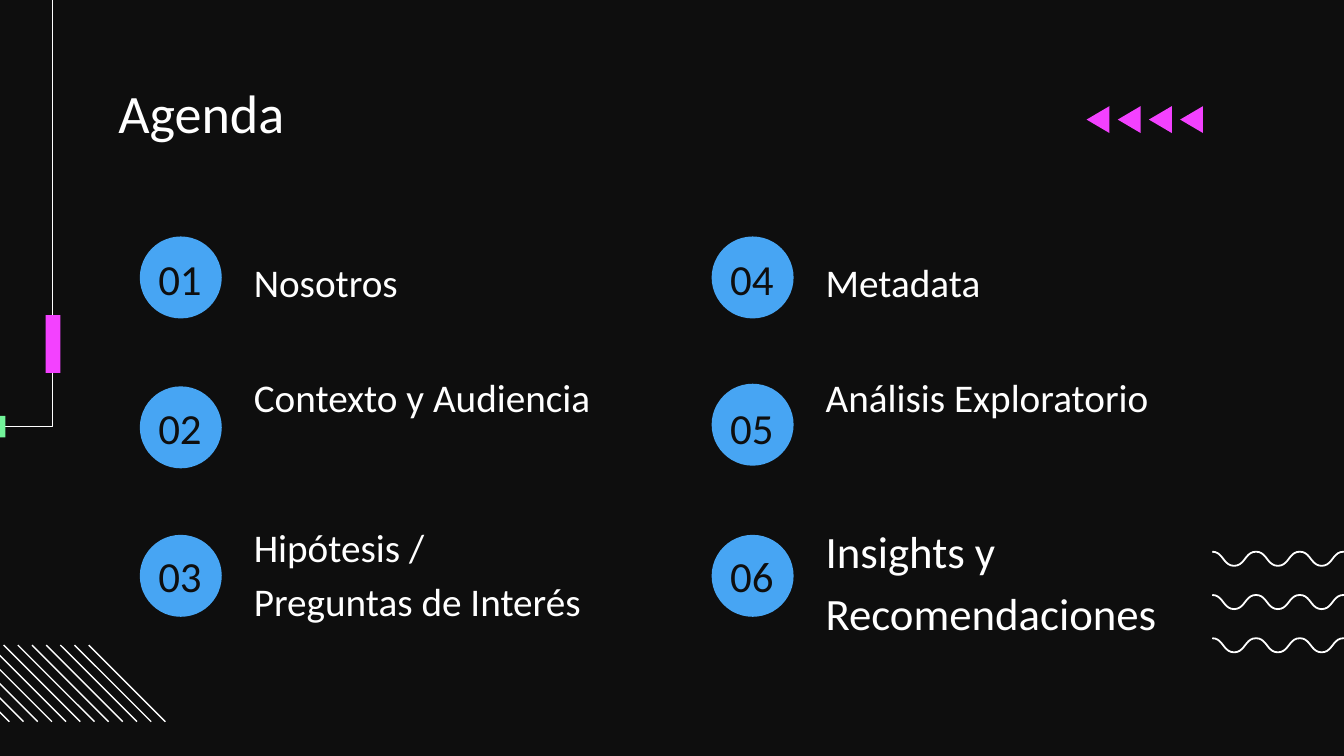
from lxml import etree
from pptx import Presentation
from pptx.dml.color import RGBColor
from pptx.enum import shapes, text
from pptx.oxml.ns import qn
from pptx.util import Pt

PX = 9144  # 100 px to the inch
FONT = "Calibri"
HUES = {"back": "0E0E0E", "white": "FFFFFF", "blue": "47A5F3",
        "pink": "F341FF", "green": "72F49A"}
LEFT, MID = text.PP_ALIGN.LEFT, text.PP_ALIGN.CENTER


def px(n):
    return round(n * PX)


def hue(name):
    return RGBColor.from_string(HUES[name])


def paint(part, fill=None, line=None, width=0.75):
    part.shadow.inherit = False
    if fill:
        part.fill.solid()
        part.fill.fore_color.rgb = hue(fill)
    else:
        part.fill.background()
    if line:
        part.line.color.rgb = hue(line)
        part.line.width = Pt(width)
    else:
        part.line.fill.background()


def solid(slide, kind, x, y, w, h, fill):
    part = slide.shapes.add_shape(kind, px(x), px(y), px(w), px(h))
    paint(part, fill)


def trace(slide, points, close=False, **look):
    spots = [(px(x), px(y)) for x, y in points]
    pen = slide.shapes.build_freeform(*spots[0], scale=1.0)
    pen.add_line_segments(spots[1:], close=close)
    paint(pen.convert_to_shape(), **look)


def write(part, box, lines, size, color, align=LEFT, top=0, lead=None, after=None):
    part.left, part.top, part.width, part.height = map(px, box)
    frame = part.text_frame
    frame.word_wrap = True
    frame.auto_size = text.MSO_AUTO_SIZE.NONE
    frame.vertical_anchor = text.MSO_ANCHOR.TOP
    frame.margin_left = frame.margin_right = frame.margin_bottom = px(10)
    frame.margin_top = px(top)
    para = frame.paragraphs[0]
    para.alignment = align
    if lead:
        para.line_spacing = lead
    if after:
        para.space_after = Pt(after)
    for i, words in enumerate(lines):
        if i:
            para.add_line_break()
        run = para.add_run()
        run.text = words
        run.font.name, run.font.size = FONT, Pt(size)
        run.font.color.rgb = hue(color)


def label(slide, box, *args, **opts):
    write(slide.shapes.add_textbox(0, 0, 0, 0), box, *args, **opts)


def waves(slide, x, y, w, h):
    """Three rows of seven half waves."""
    half, steps = w / 7, 10
    for row in range(3):
        base = y + row * 32.2
        points = []
        for k in range(7 * steps + 1):
            turn, t = k // steps, k % steps / steps
            across = 1.5 * t * (1 - t) + t ** 3
            drop = t * t * (3 - 2 * t)
            if turn % 2:
                drop = 1 - drop
            points.append((x + half * (turn + across), base + h * drop))
        trace(slide, points, line="white", width=0.95)


def hatch(slide, x, y, side):
    for i in range(12):
        a = x + i * 10.55
        line = slide.shapes.add_connector(
            shapes.MSO_CONNECTOR.STRAIGHT, px(a), px(y), px(a + side), px(y + side))
        line.line.color.rgb = hue("white")
        line.line.width = Pt(0.75)
        etree.SubElement(line._element.spPr, qn("a:effectLst"))


def rail(slide, x, y, w, h):
    """Bent line with a green end and a pink grip."""
    end, foot = x + w, y + h
    trace(slide, [(x, foot), (end, foot), (end, y)], line="white")
    box = shapes.MSO_SHAPE.RECTANGLE
    solid(slide, box, -12, foot - 8, 16, 16, "green")
    solid(slide, box, end - 5, foot - 83, 11, 43, "pink")


def arrows(slide, x, y, w, h):
    for i in range(4):
        a = x + i * 23.2
        trace(slide, [(a + w, y), (a, y + h / 2), (a + w, y + h)],
              close=True, fill="pink")


def item(slide, x, y, num, lines, dot, drop, wide=316, high=39, size=21):
    """Dot, number and topic; dot and drop are offsets from y."""
    solid(slide, shapes.MSO_SHAPE.OVAL, x + 15, y + dot, 61, 61, "blue")
    label(slide, (x, y, 90, 61), [f"{num:02}"], 23, "back", align=MID, top=20)
    label(slide, (x + 90, y + drop, wide, high), lines, size, "white",
          lead=1.15, after=12)


def agenda(slide, x, y):
    topics = [
        (["Nosotros"], 8, 19, {}),
        (["Contexto y Audiencia"], 9, -6, {}),
        (["Hipótesis /", "Preguntas de Interés"], 9, -5, {"high": 146}),
        (["Metadata"], 8, 19, {}),
        (["Análisis Exploratorio"], 7, -6, {}),
        (["Insights y Recomendaciones"], 9, -5, {"wide": 350, "size": 24}),
    ]
    for i, (lines, dot, drop, more) in enumerate(topics):
        col, row = divmod(i, 3)
        item(slide, x + col * 425.5, y + row * 110.5, i + 1, lines, dot, drop, **more)


def main():
    deck = Presentation()
    deck.slide_width, deck.slide_height = px(1000), px(562.5)
    slide = deck.slides.add_slide(deck.slide_layouts[5])
    slide.background.fill.solid()
    slide.background.fill.fore_color.rgb = hue("back")

    # Edge decoration
    waves(slide, 902, 410.5, 114, 10.5)
    hatch(slide, -50, 480, 57)
    rail(slide, -393, -22, 432, 339.5)

    # Title and topics
    write(slide.shapes.title, (78, 59, 844, 46), ["Agenda"], 29, "white")
    agenda(slide, 89, 168)
    arrows(slide, 808.5, 79, 17, 20)

    deck.save("out.pptx")


if __name__ == "__main__":
    main()
